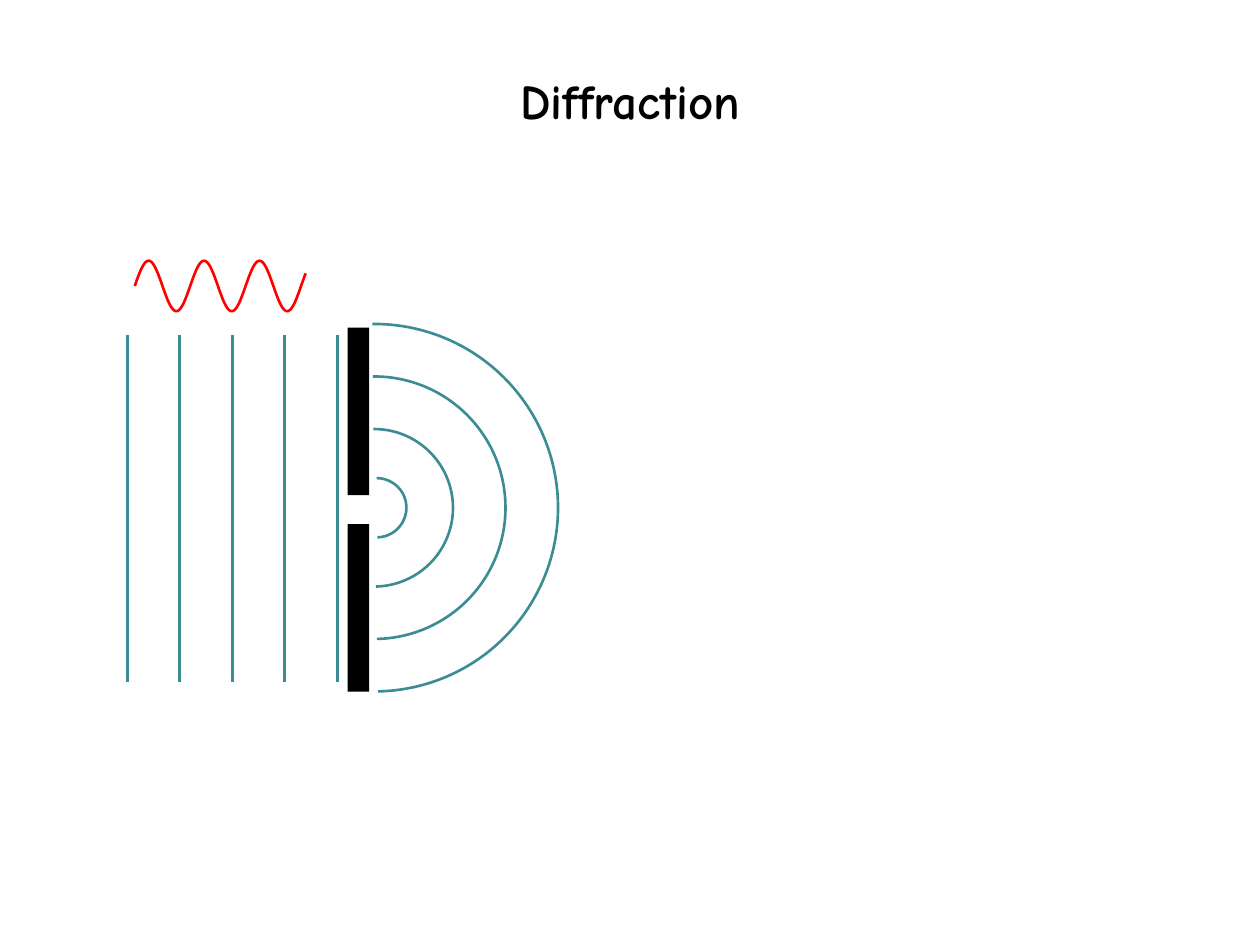
import math
from dataclasses import dataclass

from lxml import etree
from pptx import Presentation
from pptx.dml.color import RGBColor
from pptx.enum.shapes import MSO_CONNECTOR, MSO_SHAPE
from pptx.enum.text import MSO_ANCHOR, PP_ALIGN
from pptx.oxml.ns import qn
from pptx.util import Inches, Pt

ARC, RECTANGLE = MSO_SHAPE.ARC, MSO_SHAPE.RECTANGLE
STRAIGHT = MSO_CONNECTOR.STRAIGHT
MIDDLE, CENTER = MSO_ANCHOR.MIDDLE, PP_ALIGN.CENTER
TITLE_ONLY = 5


@dataclass(frozen=True)
class Theme:
    font: str = "Comic Neue"
    title_size: int = 28
    line_width: float = 1.5
    ink: RGBColor = RGBColor(0, 0, 0)
    front: RGBColor = RGBColor(0x3C, 0x8C, 0x93)
    wave: RGBColor = RGBColor(0xFF, 0, 0)


THEME = Theme()
FRONT_GAP = 2.5 / 6  # one wavelength between neighbouring wavefronts
SLIT_Y = 4.03
HALF_TURN = (107.67, 215.3)  # arc start and end, slightly past a half circle


def format_line(shape, color):
    shape.line.color.rgb = color
    shape.line.width = Pt(THEME.line_width)


def format_outline(shape, color):
    shape.shadow.inherit = False
    shape.fill.background()
    format_line(shape, color)


def add_title(page, text):
    title = page.shapes.title
    box = {"left": 0.75, "top": 0.17, "width": 8.5, "height": 1.25}
    for name, value in box.items():
        setattr(title, name, Inches(value))
    title.text_frame.text = text
    title.text_frame.vertical_anchor = MIDDLE
    para = title.text_frame.paragraphs[0]
    para.alignment = CENTER
    font_format = {"name": THEME.font, "size": Pt(THEME.title_size), "bold": True}
    for name, value in font_format.items():
        setattr(para.font, name, value)
    para.font.color.rgb = THEME.ink


def add_sine_wave(page, left, middle, amplitude, wavelength, cycles, steps=200):
    points = []
    for step in range(steps + 1):
        turn = cycles * step / steps
        points.append((Inches(left + wavelength * turn),
                       Inches(middle - amplitude * math.sin(math.tau * turn))))
    builder = page.shapes.build_freeform(*points[0])
    builder.add_line_segments(points[1:], close=False)
    format_outline(builder.convert_to_shape(), THEME.wave)


def add_plane_front(page, x, top, bottom):
    front = page.shapes.add_connector(
        STRAIGHT, Inches(x), Inches(top), Inches(x), Inches(bottom))
    format_line(front, THEME.front)
    etree.SubElement(front._element.spPr, qn("a:effectLst"))


def add_barrier(page, left, top, width, height):
    barrier = page.shapes.add_shape(
        RECTANGLE, *map(Inches, (left, top, width, height)))
    barrier.shadow.inherit = False
    barrier.fill.solid()
    barrier.fill.fore_color.rgb = THEME.ink
    barrier.line.fill.background()


def add_round_front(page, center_x, radius):
    """Draw the right half of a circle centred at the height of the slit."""
    front = page.shapes.add_shape(
        ARC, Inches(center_x - radius), Inches(SLIT_Y - radius),
        Inches(2 * radius), Inches(2 * radius))
    front.rotation = 90
    for index, value in enumerate(HALF_TURN):
        front.adjustments[index] = value
    format_outline(front, THEME.front)


def main():
    deck = Presentation()
    deck.slide_width, deck.slide_height = Inches(10), Inches(7.5)
    page = deck.slides.add_slide(deck.slide_layouts[TITLE_ONLY])

    add_title(page, "Diffraction")
    add_sine_wave(page, left=1.07, middle=2.27, amplitude=0.2,
                  wavelength=0.44, cycles=3 + 1 / 12)
    for column in range(5):
        add_plane_front(page, 1.01 + column * FRONT_GAP, 2.66, 5.41)
    for top in (2.6, 4.16):
        add_barrier(page, 2.76, top, 0.17, 1.33)
    add_round_front(page, 2.99, 0.235)
    for ring in range(3):
        add_round_front(page, 2.97, 0.625 + ring * FRONT_GAP)

    deck.save("out.pptx")


if __name__ == "__main__":
    main()
